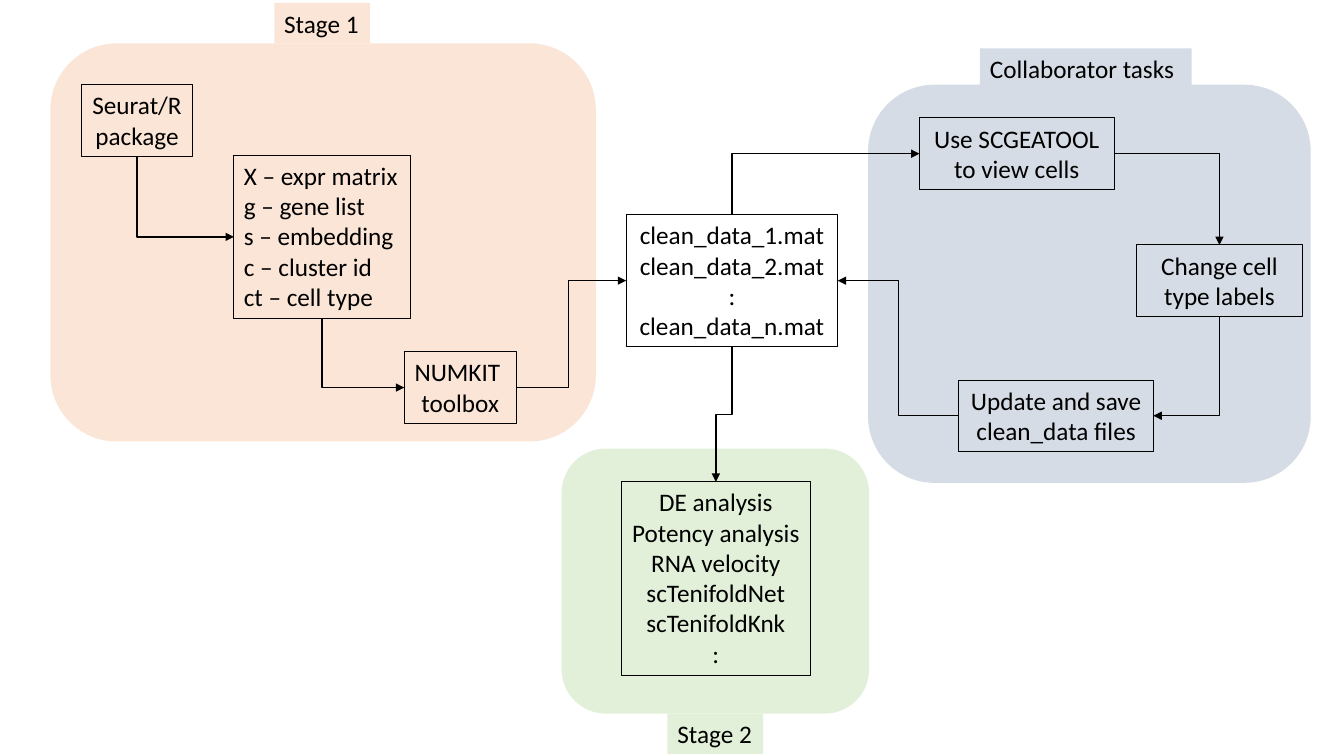
from pptx import Presentation
from pptx.dml.color import RGBColor
from pptx.enum import shapes, text
from pptx.oxml import parse_xml
from pptx.oxml.ns import nsdecls, qn
from pptx.util import Inches, Pt

BLACK = RGBColor(0x00, 0x00, 0x00)
PEACH = RGBColor(0xFB, 0xE5, 0xD6)
BLUE = RGBColor(0xD6, 0xDC, 0xE5)
GREEN = RGBColor(0xE2, 0xF0, 0xD9)
LEFT, CENTER = text.PP_ALIGN.LEFT, text.PP_ALIGN.CENTER
TOP_SIDE, LEFT_SIDE, BOTTOM_SIDE, RIGHT_SIDE = range(4)


def add_text(s, box, lines, align=CENTER, wrap=True, fill=None, line=None):
    """Text box with one paragraph per line."""
    sp = s.shapes.add_textbox(*map(Inches, box))
    if fill is not None:
        sp.fill.solid()
        sp.fill.fore_color.rgb = fill
    if line is not None:
        sp.line.color.rgb = line
        sp.line.width = Pt(0.75)
    tf = sp.text_frame
    tf.word_wrap = wrap
    tf.auto_size = text.MSO_AUTO_SIZE.SHAPE_TO_FIT_TEXT
    for i, words in enumerate(lines):
        p = tf.add_paragraph() if i else tf.paragraphs[0]
        p.alignment = align
        r = p.add_run()
        r.text = words
        r.font.name = "Calibri"
        r.font.size = Pt(18)
        r.font.color.rgb = BLACK
    return sp


def add_step(s, region, offset, size, lines, **fmt):
    """Outlined step placed relative to the corner of its region."""
    box = (region[0] + offset[0], region[1] + offset[1], *size)
    return add_text(s, box, lines, line=BLACK, **fmt)


def add_panel(s, region, fill):
    sp = s.shapes.add_shape(shapes.MSO_SHAPE.ROUNDED_RECTANGLE, *map(Inches, region))
    sp.shadow.inherit = False
    sp.fill.solid()
    sp.fill.fore_color.rgb = fill
    sp.line.fill.background()


def add_tab(s, region, offset, width, label, fill):
    box = (region[0] + offset[0], region[1] + offset[1], width, 0.4)
    add_text(s, box, [label], align=LEFT, wrap=False, fill=fill)


def add_arrow(s, start, start_side, end, end_side, bend=50000):
    """Elbow arrow; it has one corner when the two sides are perpendicular."""
    c = s.shapes.add_connector(shapes.MSO_CONNECTOR.ELBOW, 0, 0, 0, 0)
    c.begin_connect(start, start_side)
    c.end_connect(end, end_side)
    c.line.color.rgb = BLACK
    c.line.width = Pt(1)
    x1, y1, x2, y2 = c.begin_x, c.begin_y, c.end_x, c.end_y
    dx, dy = x2 - x1, y2 - y1
    spPr = c.element.spPr
    xfrm, geom = spPr.find(qn("a:xfrm")), spPr.find(qn("a:prstGeom"))

    # A path that leaves vertically is a horizontal one turned by 90 degrees
    if start_side in (TOP_SIDE, BOTTOM_SIDE):
        width, height = abs(dy), abs(dx)
        flip_h, flip_v = dy < 0, dx > 0
        xfrm.set("rot", "5400000")
    else:
        width, height = abs(dx), abs(dy)
        flip_h, flip_v = dx < 0, dy < 0
    xfrm.set("flipH", str(int(flip_h)))
    xfrm.set("flipV", str(int(flip_v)))
    c.left, c.top = (x1 + x2 - width) // 2, (y1 + y2 - height) // 2
    c.width, c.height = width, height

    if start_side % 2 != end_side % 2:
        geom.set("prst", "bentConnector2")
    else:
        geom.get_or_add_avLst().append(parse_xml(
            f'<a:gd {nsdecls("a")} name="adj1" fmla="val {bend}"/>'))
    spPr.find(qn("a:ln")).append(
        parse_xml(f'<a:tailEnd {nsdecls("a")} type="triangle"/>'))
    spPr.append(parse_xml(f'<a:effectLst {nsdecls("a")}/>'))


def add_stage_1(s, region):
    add_panel(s, region, PEACH)
    add_tab(s, region, (2.22, -0.4), 0.95, "Stage 1", PEACH)
    seurat = add_step(s, region, (0.31, 0.41), (1.1, 0.71),
                      ["Seurat/R", "package"], wrap=False)
    fields = add_step(s, region, (1.82, 1.11), (1.75, 1.62),
                      ["X – expr matrix", "g – gene list", "s – embedding",
                       "c – cluster id", "ct – cell type"], align=LEFT)
    toolbox = add_step(s, region, (3.51, 3.06), (1.11, 0.71),
                       ["NUMKIT ", "toolbox"], wrap=False)
    add_arrow(s, seurat, BOTTOM_SIDE, fields, LEFT_SIDE)
    add_arrow(s, fields, BOTTOM_SIDE, toolbox, LEFT_SIDE)
    return toolbox


def add_collaborator_tasks(s, region):
    add_panel(s, region, BLUE)
    add_tab(s, region, (1.11, -0.36), 2.1, "Collaborator tasks", BLUE)
    view = add_step(s, region, (0.51, 0.33), (1.93, 0.71),
                    ["Use SCGEATOOL to view cells"])
    change = add_step(s, region, (2.66, 1.59), (1.65, 0.71),
                      ["Change cell type labels"])
    update = add_step(s, region, (0.9, 2.93), (1.93, 0.71),
                      ["Update and save clean_data files"])
    add_arrow(s, view, RIGHT_SIDE, change, TOP_SIDE)
    add_arrow(s, change, BOTTOM_SIDE, update, RIGHT_SIDE)
    return view, update


def add_stage_2(s, region):
    add_panel(s, region, GREEN)
    add_tab(s, region, (1.05, 2.63), 0.95, "Stage 2", GREEN)
    return add_step(s, region, (0.59, 0.33), (1.88, 1.92),
                    ["DE analysis", "Potency analysis", "RNA velocity",
                     "scTenifoldNet", "scTenifoldKnk", ":"])


def main():
    prs = Presentation()
    prs.slide_width, prs.slide_height = Inches(13.33), Inches(7.5)
    s = prs.slides.add_slide(prs.slide_layouts[6])

    # Regions
    analysis = add_stage_2(s, (5.57, 4.45, 3.05, 2.63))
    toolbox = add_stage_1(s, (0.5, 0.43, 5.41, 3.95))
    view, update = add_collaborator_tasks(s, (8.61, 0.84, 4.39, 3.95))

    # Shared data files and the arrows between regions
    files = add_text(s, (6.21, 2.13, 2.1, 1.31),
                     ["clean_data_1.mat", "clean_data_2.mat", ":",
                      "clean_data_n.mat"], line=BLACK)
    add_arrow(s, toolbox, RIGHT_SIDE, files, LEFT_SIDE, bend=47600)
    add_arrow(s, files, TOP_SIDE, view, LEFT_SIDE)
    add_arrow(s, update, LEFT_SIDE, files, RIGHT_SIDE)
    add_arrow(s, files, BOTTOM_SIDE, analysis, TOP_SIDE)

    prs.save("out.pptx")


if __name__ == "__main__":
    main()
